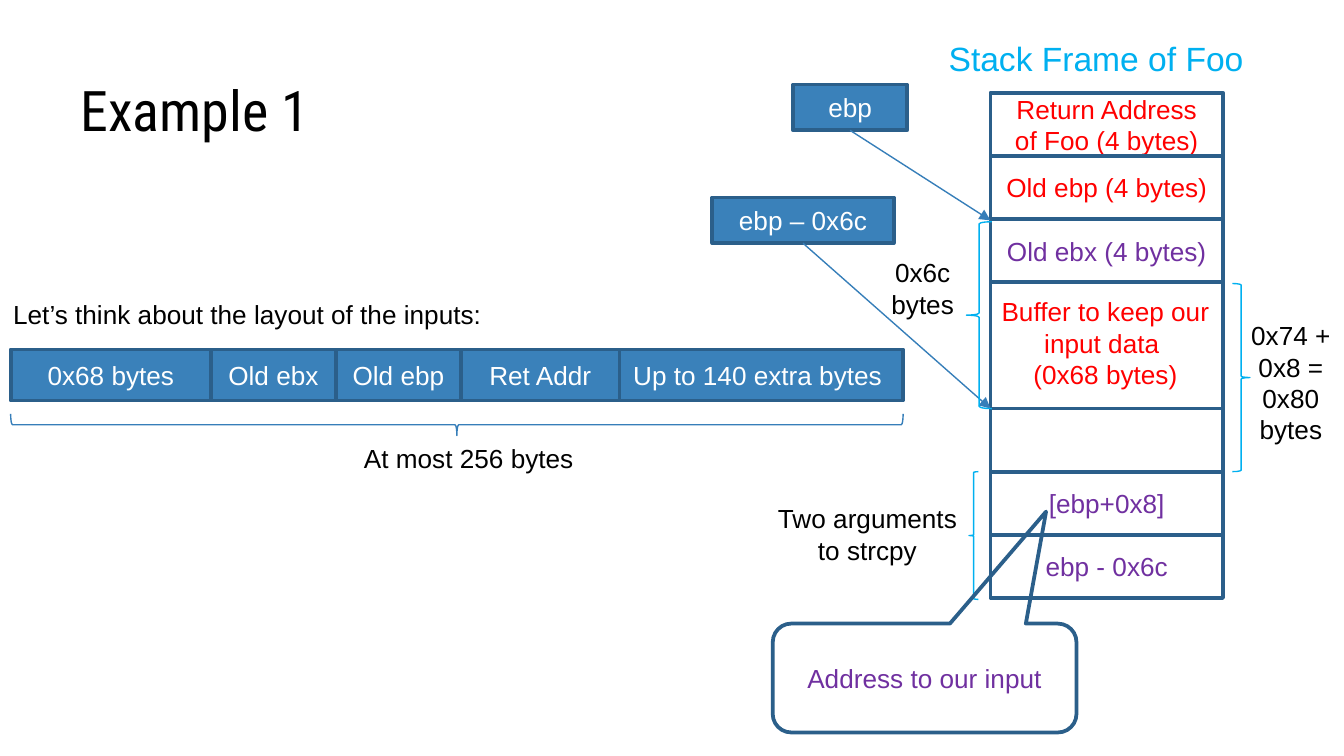
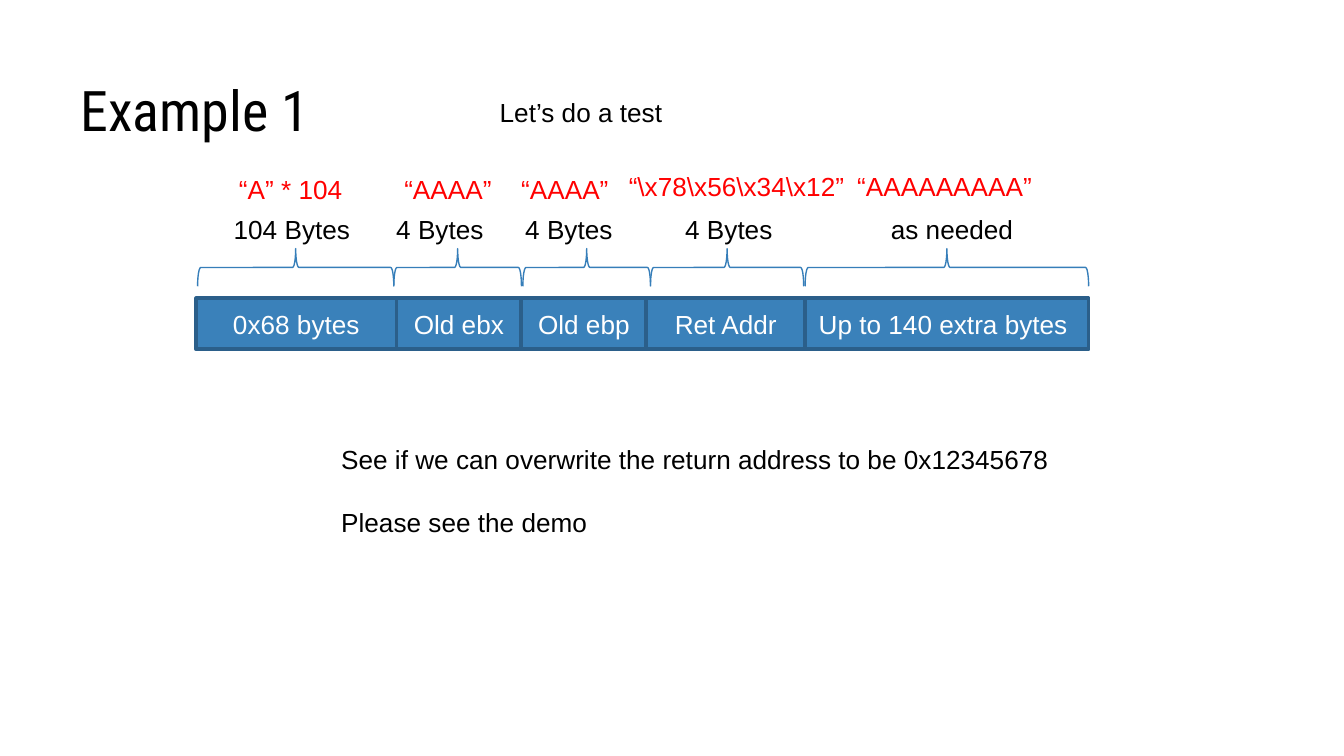
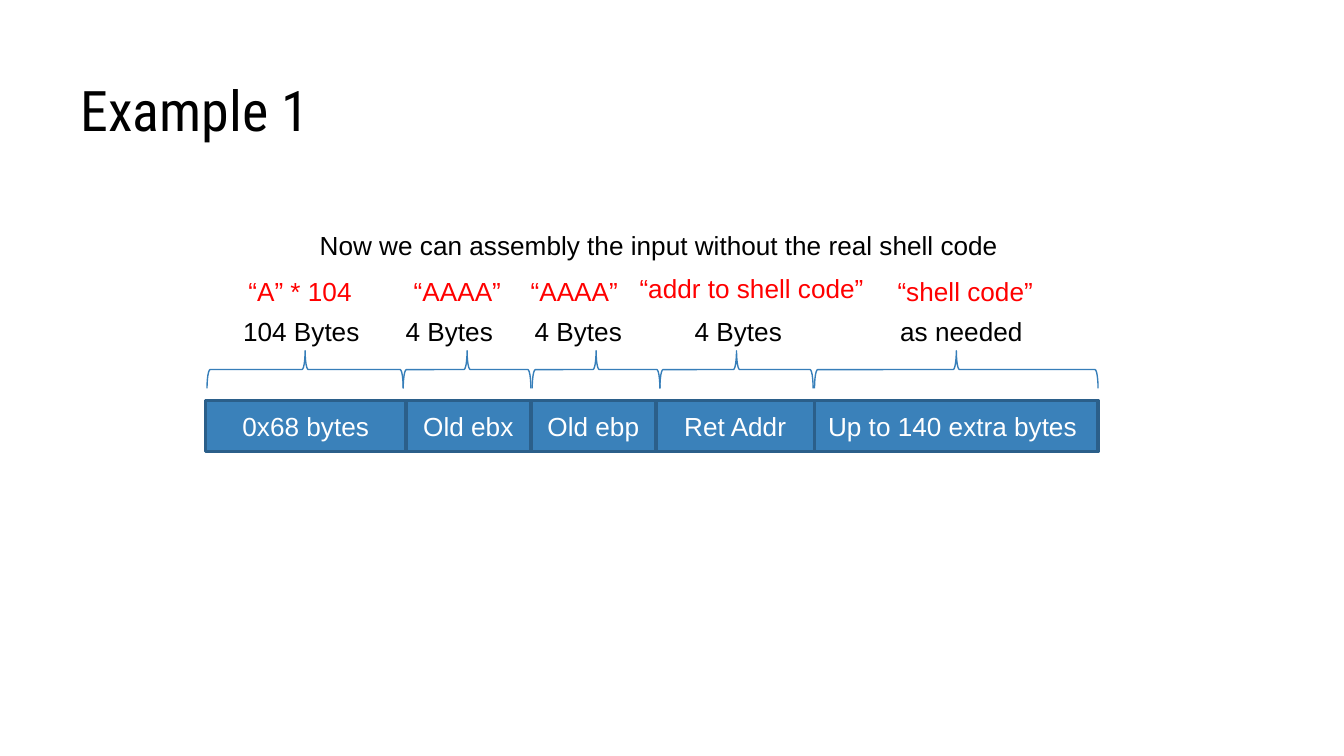
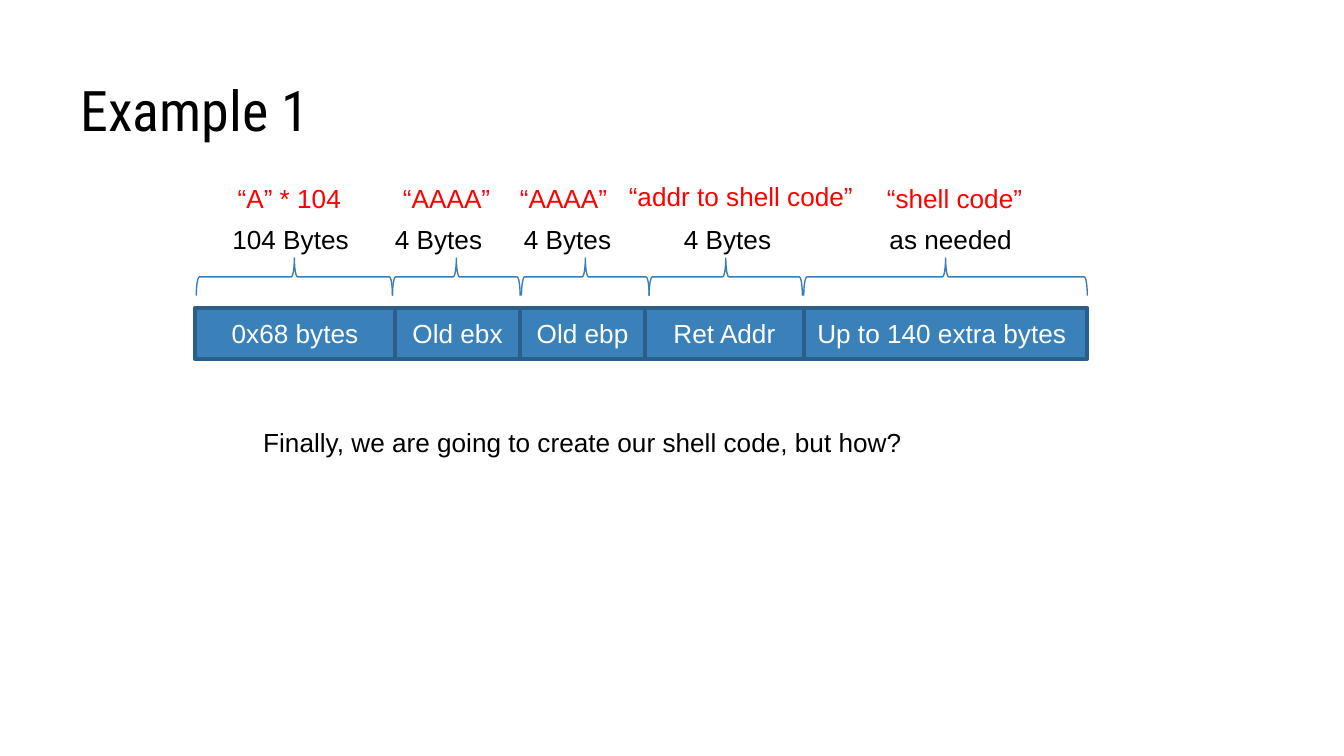
from dataclasses import dataclass
from itertools import accumulate

from lxml import etree
from pptx import Presentation
from pptx.dml.color import RGBColor
from pptx.enum.shapes import MSO_CONNECTOR, MSO_SHAPE
from pptx.enum.text import MSO_ANCHOR, MSO_AUTO_SIZE, PP_ALIGN
from pptx.oxml.ns import qn
from pptx.util import Inches, Pt


@dataclass(frozen=True)
class Theme:
    title_font: str = "Roboto Condensed"
    body_font: str = "Arial"
    title_size: float = 30
    heading_size: float = 18
    body_size: float = 14
    border_width: float = 2
    thin_width: float = 0.75
    black: str = "000000"
    white: str = "FFFFFF"
    red: str = "FF0000"
    purple: str = "7030A0"
    cyan: str = "00B0F0"
    fill: str = "3A81BA"
    border: str = "2B5F8A"
    thin: str = "367EB9"


THEME = Theme()

# Widescreen page
SLIDE_WIDTH = 10
SLIDE_HEIGHT = SLIDE_WIDTH * 9 / 16

# Input fields: text and width
FIELDS = [
    ("0x68 bytes", 1.49),
    ("Old ebx", 0.93),
    ("Old ebp", 0.93),
    ("Ret Addr", 1.18),
    ("Up to 140 extra bytes ", 2.11),
]
FIELD_HEIGHT = 0.38

# Size of each field: text, offset and width of its label, offset and width of its brace
FIELD_SIZES = [
    ("104 Bytes", 0.18, 1.79, 0.01, 1.46),
    ("4 Bytes", 1.39, 1.16, 1.47, 0.95),
    ("4 Bytes", 2.35, 1.16, 2.43, 0.95),
    ("4 Bytes", 3.54, 1.16, 3.38, 1.14),
    ("as needed", 5.07, 1.44, 4.53, 2.11),
]

# Payload of each field: text, offset from the bar (across, down) and width
PADDING = [
    ("“A” * 104", 0.22, -0.98, 0.97),
    ("“AAAA”", 1.45, -0.98, 0.97),
    ("“AAAA”", 2.32, -0.98, 0.97),
]
TEST_PAYLOAD = PADDING + [
    ("“\\x78\\x56\\x34\\x12”", 3.12, -1, 1.82),
    ("“AAAAAAAAA”", 4.82, -1, 1.82),
]
SHELL_PAYLOAD = PADDING + [
    ("“addr to shell code”", 3.13, -1, 2.11),
    ("“shell code”", 5.05, -0.98, 1.82),
]

# Stack cells: first row, rows spanned, lines, text colour
STACK_CELLS = [
    (0, 1, ["Return Address", "of Foo (4 bytes)"], THEME.red),
    (1, 1, ["Old ebp (4 bytes)"], THEME.red),
    (2, 1, ["Old ebx (4 bytes)"], THEME.purple),
    (3, 3, [], THEME.red),
    (5, 1, [], THEME.red),
    (6, 1, ["[ebp+0x8]"], THEME.purple),
    (7, 1, ["ebp - 0x6c"], THEME.purple),
]
STACK_WIDTH = 1.73
ROW_HEIGHT = 0.47


def inches(*lengths):
    return [Inches(length) for length in lengths]


def set_all(target, values):
    for name, value in values.items():
        setattr(target, name, value)


def write(text_frame, lines, color, align=PP_ALIGN.LEFT, size=THEME.body_size,
          font=THEME.body_font, gap=0):
    text_frame.word_wrap = True
    for index, line in enumerate(lines):
        paragraph = text_frame.add_paragraph() if index else text_frame.paragraphs[0]
        paragraph.text = line
        paragraph.alignment = align
        if index and gap:
            paragraph.space_before = Pt(gap)
        set_all(paragraph.font, {"name": font, "size": Pt(size)})
        paragraph.font.color.rgb = RGBColor.from_string(color)


def set_line(line, color, width):
    line.color.rgb = RGBColor.from_string(color)
    line.width = Pt(width)


def add_title(slide, text):
    title = slide.shapes.title
    set_all(title, dict(zip(("left", "top", "width", "height"), inches(0.5, 0.23, 9, 0.93))))
    margins = {f"margin_{side}": Inches(0.1) for side in ("left", "top", "right", "bottom")}
    set_all(title.text_frame, {**margins, "vertical_anchor": MSO_ANCHOR.BOTTOM,
                               "auto_size": MSO_AUTO_SIZE.NONE})
    write(title.text_frame, [text], THEME.black, size=THEME.title_size, font=THEME.title_font)


def add_text(slide, box, lines, color=THEME.black, **style):
    shape = slide.shapes.add_textbox(*inches(*box))
    write(shape.text_frame, lines, color, **style)
    shape.text_frame.auto_size = MSO_AUTO_SIZE.SHAPE_TO_FIT_TEXT


def add_box(slide, box, lines, color=THEME.white, fill=None, preset=MSO_SHAPE.RECTANGLE):
    shape = slide.shapes.add_shape(preset, *inches(*box))
    shape.shadow.inherit = False
    if fill:
        shape.fill.solid()
        shape.fill.fore_color.rgb = RGBColor.from_string(fill)
    else:
        shape.fill.background()
    set_line(shape.line, THEME.border, THEME.border_width)
    shape.text_frame.vertical_anchor = MSO_ANCHOR.MIDDLE
    write(shape.text_frame, lines, color, PP_ALIGN.CENTER)
    return shape


def add_brace(slide, box, color=THEME.thin, preset=MSO_SHAPE.LEFT_BRACE, rotation=0):
    """Draw a brace that fills the box as seen, after any quarter turn."""
    left, top, width, height = box
    if rotation:
        left, top = left + (width - height) / 2, top + (height - width) / 2
        width, height = height, width
    brace = slide.shapes.add_shape(preset, *inches(left, top, width, height))
    brace.rotation = rotation
    brace.shadow.inherit = False
    brace.fill.background()
    set_line(brace.line, color, THEME.thin_width)


def add_pointer(slide, box, label, target):
    """Register box with an arrow from its bottom to the target point."""
    register = add_box(slide, box, [label], fill=THEME.fill)
    arrow = slide.shapes.add_connector(MSO_CONNECTOR.STRAIGHT, 0, 0, *inches(*target))
    arrow.begin_connect(register, 2)
    set_line(arrow.line, THEME.thin, THEME.thin_width)
    properties = arrow._element.spPr
    etree.SubElement(properties.find(qn("a:ln")), qn("a:tailEnd"), type="triangle")
    etree.SubElement(properties, qn("a:effectLst"))


def add_input_bar(slide, left, top):
    offsets = accumulate((width for _, width in FIELDS), initial=0)
    for (text, width), offset in zip(FIELDS, offsets):
        add_box(slide, (left + offset, top, width, FIELD_HEIGHT), [text], fill=THEME.fill)


def add_payload_diagram(slide, left, top, payload):
    add_input_bar(slide, left, top)
    # Braces and field sizes
    for text, label_offset, label_width, brace_offset, brace_width in FIELD_SIZES:
        add_brace(slide, (left + brace_offset, top - 0.37, brace_width, 0.28), rotation=90)
        add_text(slide, (left + label_offset, top - 0.68, label_width, 0.34), [text])
    # Values that fill the fields
    for text, across, down, width in payload:
        add_text(slide, (left + across, top + down, width, 0.34), [text], THEME.red)


def add_stack(slide, left, top):
    add_text(slide, (left - 0.41, top - 0.46, 2.69, 0.4), ["Stack Frame of Foo"],
             THEME.cyan, size=THEME.heading_size)
    for row, span, lines, color in STACK_CELLS:
        add_box(slide, (left, top + row * ROW_HEIGHT, STACK_WIDTH, span * ROW_HEIGHT),
                lines, color)
    add_text(slide, (left - 0.22, top + 1.46, 2.15, 0.81),
             ["Buffer to keep our input data ", "(0x68 bytes)"], THEME.red,
             align=PP_ALIGN.CENTER)

    # Registers
    add_pointer(slide, (left - 1.47, top - 0.06, 0.85, 0.34), "ebp", (left, top + 0.95))
    add_pointer(slide, (left - 2.07, top + 0.78, 1.35, 0.34), "ebp – 0x6c", (left, top + 2.35))

    # Measured spans
    add_brace(slide, (left + 1.8, top + 1.42, 0.13, 1.4), THEME.cyan, MSO_SHAPE.RIGHT_BRACE)
    add_brace(slide, (left - 0.18, top + 0.96, 0.19, 1.39), THEME.cyan)
    add_brace(slide, (left - 0.16, top + 2.82, 0.07, 0.95), THEME.cyan)
    for across, down, width, height, lines in [
        (1.82, 1.64, 0.83, 1.04, ["0x74 +", "0x8 = 0x80", "bytes"]),
        (-0.85, 1.17, 0.69, 0.57, ["0x6c", "bytes"]),
        (-1.7, 3, 1.57, 0.57, ["Two arguments to strcpy"]),
    ]:
        add_text(slide, (left + across, top + down, width, height), lines,
                 align=PP_ALIGN.CENTER)

    # Callout on the first argument
    callout = add_box(slide, (left - 1.62, top + 3.95, 2.26, 0.81), ["Address to our input"],
                      THEME.purple, preset=MSO_SHAPE.ROUNDED_RECTANGULAR_CALLOUT)
    for index, value in enumerate((0.4, -1.53, 0.17)):
        callout.adjustments[index] = value


def add_input_layout(slide, left, top):
    add_text(slide, (left - 0.08, top - 0.43, 4.74, 0.34),
             ["Let’s think about the layout of the inputs:"])
    add_input_bar(slide, left, top)
    total = sum(width for _, width in FIELDS)
    add_brace(slide, (left, top + 0.48, total, 0.16), rotation=270)
    add_text(slide, (left + 2.53, top + 0.64, 2, 0.35), ["At most 256 bytes"])


def build_stack_slide(slide):
    add_stack(slide, 7.37, 0.69)
    add_input_layout(slide, 0.08, 2.6)


def build_test_slide(slide):
    add_payload_diagram(slide, 1.46, 2.22, TEST_PAYLOAD)
    add_text(slide, (3.62, 0.67, 4.47, 0.34), ["Let’s do a test"])
    add_text(slide, (2.44, 3.25, 5.85, 0.81),
             ["See if we can overwrite the return address to be 0x12345678",
              "Please see the demo"], gap=17)


def build_assembly_slide(slide):
    add_payload_diagram(slide, 1.53, 2.98, SHELL_PAYLOAD)
    add_text(slide, (2.28, 1.66, 5.45, 0.34),
             ["Now we can assembly the input without the real shell code"])


def build_shell_code_slide(slide):
    add_payload_diagram(slide, 1.45, 2.29, SHELL_PAYLOAD)
    add_text(slide, (1.86, 3.12, 5.45, 0.34),
             ["Finally, we are going to create our shell code, but how?"])


def main():
    presentation = Presentation()
    set_all(presentation, {"slide_width": Inches(SLIDE_WIDTH),
                           "slide_height": Inches(SLIDE_HEIGHT)})
    title_only = presentation.slide_layouts[5]
    for build in (build_stack_slide, build_test_slide, build_assembly_slide,
                  build_shell_code_slide):
        slide = presentation.slides.add_slide(title_only)
        add_title(slide, "Example 1")
        build(slide)
    presentation.save("out.pptx")


if __name__ == "__main__":
    main()
